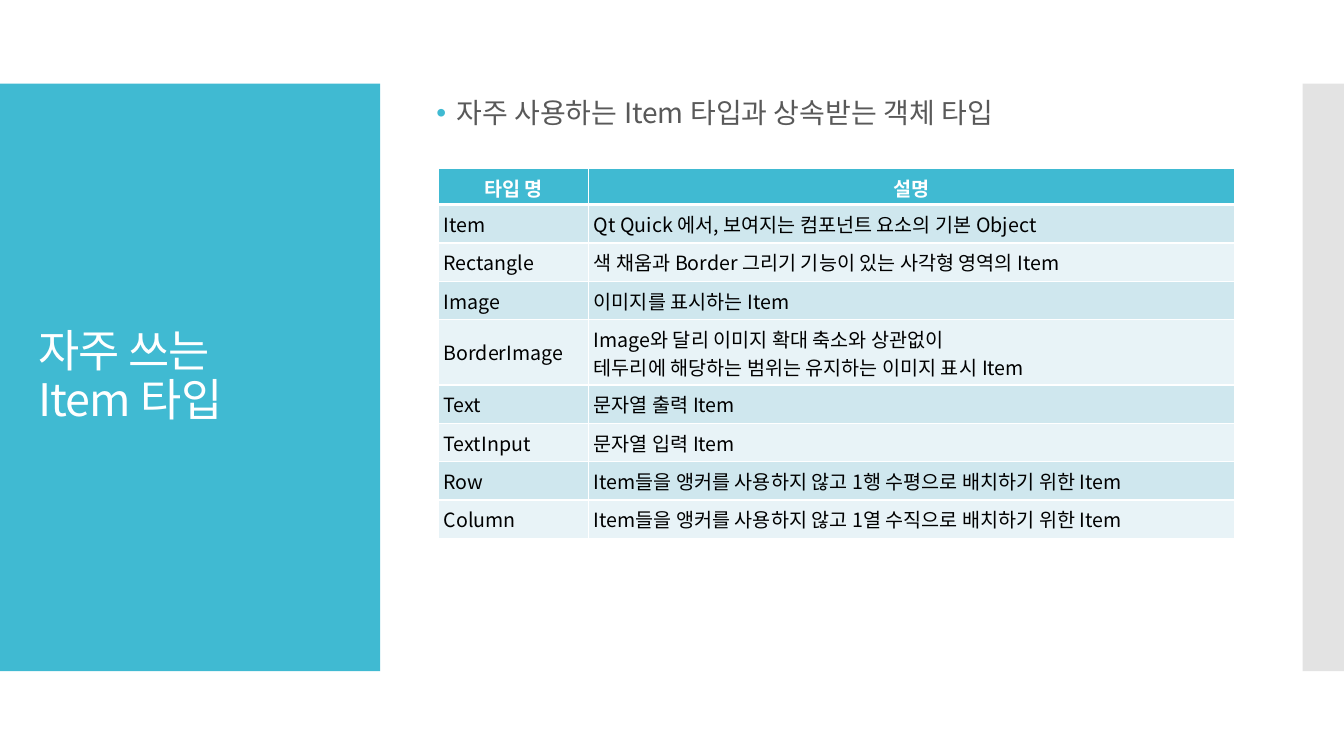
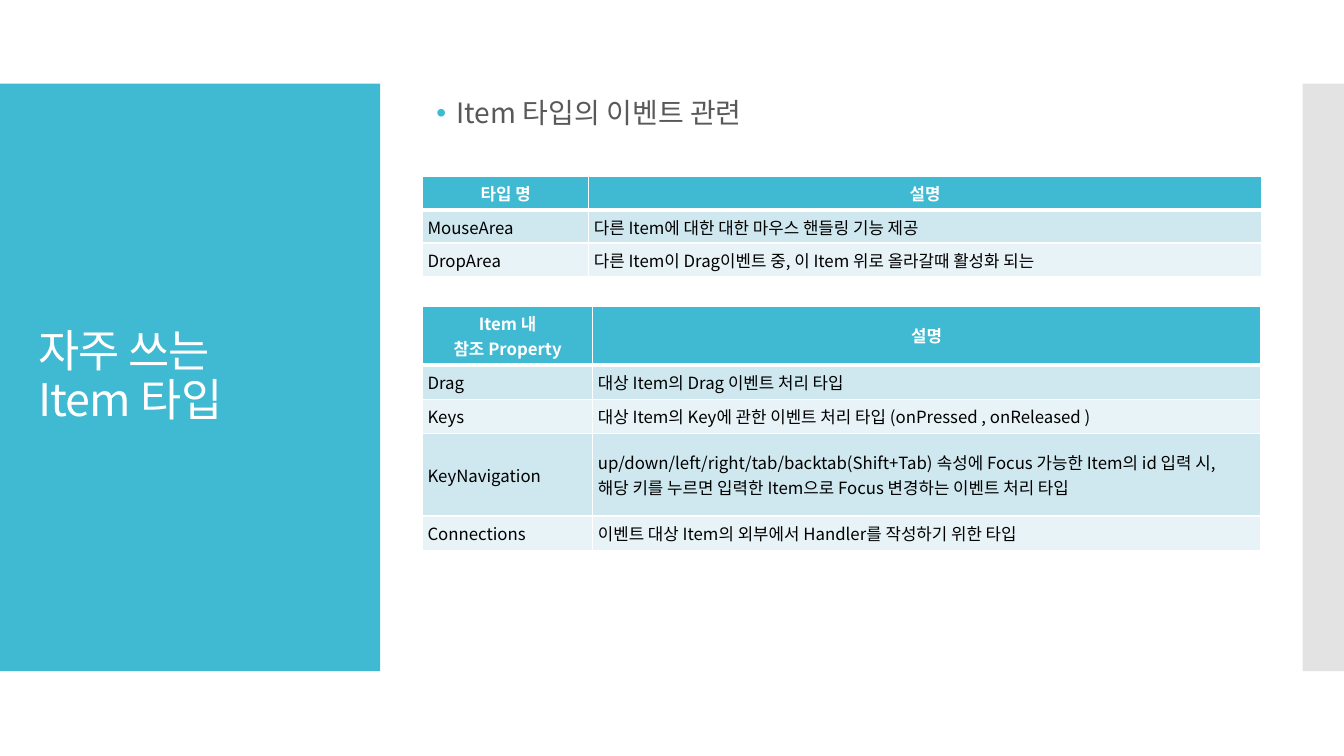
import pptx
import pptx.util
import pptx.dml.color
import pptx.enum.shapes
import pptx.enum.text
import pptx.oxml
import pptx.oxml.ns
import lxml.etree

Inches = pptx.util.Inches
Pt = pptx.util.Pt
ALIGN = pptx.enum.text.PP_ALIGN
MIDDLE = pptx.enum.text.MSO_ANCHOR.MIDDLE

FONT = "Noto Sans CJK KR"
INK = {
    "teal": "40BAD2", "grey": "C8C8C8", "white": "FFFFFF", "black": "000000",
    "body": "595959", "dark": "CFE7EE", "light": "E8F3F7",
}
TOP, HIGH = 0.83, 5.83  # both side bands


def tint(name):
    return pptx.dml.color.RGBColor.from_string(INK[name])


def add(parent, tag, **attrs):
    """Append a drawing element to an XML parent."""
    node = lxml.etree.SubElement(parent, pptx.oxml.ns.qn(tag))
    for key, value in attrs.items():
        node.set(key, str(value))
    return node


def write(frame, text, size, color, bold=False):
    """Fill a text frame and format its runs; \\v is a line break."""
    frame.word_wrap = True
    frame.text = text
    para = frame.paragraphs[0]
    for run in para.runs:
        run.font.size = Pt(size)
        run.font.bold = bold
        run.font.color.rgb = tint(color)
        run.font.name = FONT
        add(run.font._element, "a:ea", typeface=FONT)
    return para


def band(slide, left, width, color, alpha=100):
    shape = slide.shapes.add_shape(
        pptx.enum.shapes.MSO_SHAPE.RECTANGLE,
        Inches(left), Inches(TOP), Inches(width), Inches(HIGH))
    shape.shadow.inherit = False
    shape.line.fill.background()
    shape.fill.solid()
    shape.fill.fore_color.rgb = tint(color)
    if alpha < 100:
        hue = shape._element.spPr.find(".//" + pptx.oxml.ns.qn("a:srgbClr"))
        add(hue, "a:alpha", val=alpha * 1000)


def text_box(slide, box):
    return slide.shapes.add_textbox(*map(Inches, box)).text_frame


def frame_slide(deck, title, point):
    """Add a slide with its bands, title and one bullet point."""
    slide = deck.slides.add_slide(deck.slide_layouts[6])
    band(slide, 0, 3.77, "teal")
    band(slide, 12.92, 0.42, "grey", 50)

    # Title
    frame = text_box(slide, (0.28, 1.23, 3.22, 5.03))
    frame.vertical_anchor = MIDDLE
    para = write(frame, title, 32, "white")
    para.line_spacing = 0.9
    for run in para.runs:
        run.font._element.set("spc", "-60")

    # Bullet point
    para = write(text_box(slide, (4.23, 0.94, 8, 0.52)), point, 20, "body")
    para.line_spacing = 0.9
    props = para._p.get_or_add_pPr()
    props.set("marL", str(Inches(0.2)))
    props.set("indent", str(Inches(-0.2)))
    add(add(props, "a:buClr"), "a:srgbClr", val=INK["teal"])
    add(props, "a:buFont", typeface="Arial")
    add(props, "a:buChar", char="•")
    return slide


def borders(cell, top, bottom):
    """Draw white cell borders; top and bottom are in points."""
    props = cell._tc.get_or_add_tcPr()
    for side, width in (("L", 1), ("R", 1), ("T", top), ("B", bottom)):
        line = add(props, "a:ln" + side, w=Pt(width))
        add(add(line, "a:solidFill"), "a:srgbClr", val=INK["white"])


def type_table(slide, left, top, cols, highs, rows, size):
    """Place a two-column table with a header and banded rows."""
    table = slide.shapes.add_table(
        len(rows), len(cols), Inches(left), Inches(top),
        Inches(sum(cols)), Inches(sum(highs))).table
    for col, width in zip(table.columns, cols):
        col.width = Inches(width)
    for i, (row, high) in enumerate(zip(rows, highs)):
        table.rows[i].height = Inches(high)
        head = i == 0
        fill = "teal" if head else ("dark" if i % 2 else "light")
        for j, text in enumerate(row):
            cell = table.cell(i, j)
            cell.margin_left = cell.margin_right = Inches(0.05)
            cell.margin_top = cell.margin_bottom = Inches(0.05)
            cell.vertical_anchor = MIDDLE
            borders(cell, 3 if i == 1 else 1, 3 if head else 1)
            cell.fill.solid()
            cell.fill.fore_color.rgb = tint(fill)
            para = write(cell.text_frame, text, size,
                         "white" if head else "black", head)
            para.alignment = ALIGN.CENTER if head else ALIGN.LEFT


TITLE = "자주 쓰는\vItem 타입"
TYPES = [
    ("타입 명", "설명"),
    ("Item", "Qt Quick 에서, 보여지는 컴포넌트 요소의 기본 Object"),
    ("Rectangle", "색 채움과 Border 그리기 기능이 있는 사각형 영역의 Item"),
    ("Image", "이미지를 표시하는 Item"),
    ("BorderImage", "Image와 달리 이미지 확대 축소와 상관없이\v"
                    "테두리에 해당하는 범위는 유지하는 이미지 표시 Item"),
    ("Text", "문자열 출력 Item"),
    ("TextInput", "문자열 입력 Item"),
    ("Row", "Item들을 앵커를 사용하지 않고 1행 수평으로 배치하기 위한 Item"),
    ("Column", "Item들을 앵커를 사용하지 않고 1열 수직으로 배치하기 위한 Item"),
]
AREAS = [
    ("타입 명", "설명"),
    ("MouseArea", "다른 Item에 대한 대한 마우스 핸들링 기능 제공"),
    ("DropArea", "다른 Item이 Drag이벤트 중, 이 Item 위로 올라갈때 활성화 되는"),
]
PROPS = [
    ("Item 내\v참조 Property", "설명"),
    ("Drag", "대상 Item의 Drag 이벤트 처리 타입"),
    ("Keys", "대상 Item의 Key에 관한 이벤트 처리 타입 (onPressed , onReleased )"),
    ("KeyNavigation",
     "up/down/left/right/tab/backtab(Shift+Tab) 속성에 Focus 가능한 "
     "Item의 id 입력 시,\v"
     "해당 키를 누르면 입력한 Item으로 Focus 변경하는 이벤트 처리 타입"),
    ("Connections", "이벤트 대상 Item의 외부에서 Handler를 작성하기 위한 타입"),
]


def main():
    deck = pptx.Presentation()
    deck.slide_width, deck.slide_height = Inches(13.33), Inches(7.5)

    # Common types
    slide = frame_slide(deck, TITLE, "자주 사용하는 Item 타입과 상속받는 객체 타입")
    highs = [0.36] + [0.38] * 3 + [0.65] + [0.38] * 4
    type_table(slide, 4.35, 1.67, (1.49, 6.41), highs, TYPES, 14)

    # Event types
    slide = frame_slide(deck, TITLE, "Item 타입의 이벤트 관련")
    type_table(slide, 4.19, 1.75, (1.65, 6.67), [0.33] * 3, AREAS, 12)
    highs = [0.58, 0.34, 0.34, 0.82, 0.34]
    type_table(slide, 4.19, 3.04, (1.69, 6.62), highs, PROPS, 12)

    deck.save("out.pptx")


if __name__ == "__main__":
    main()
